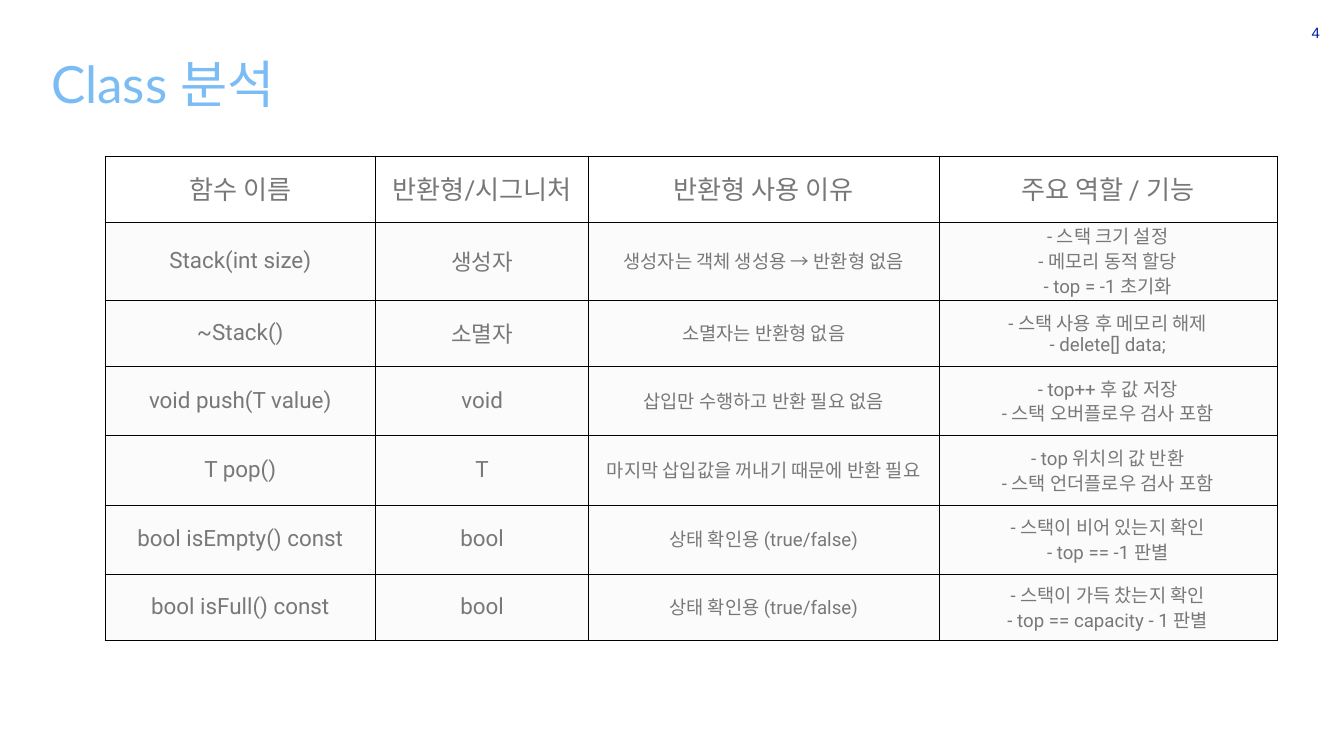
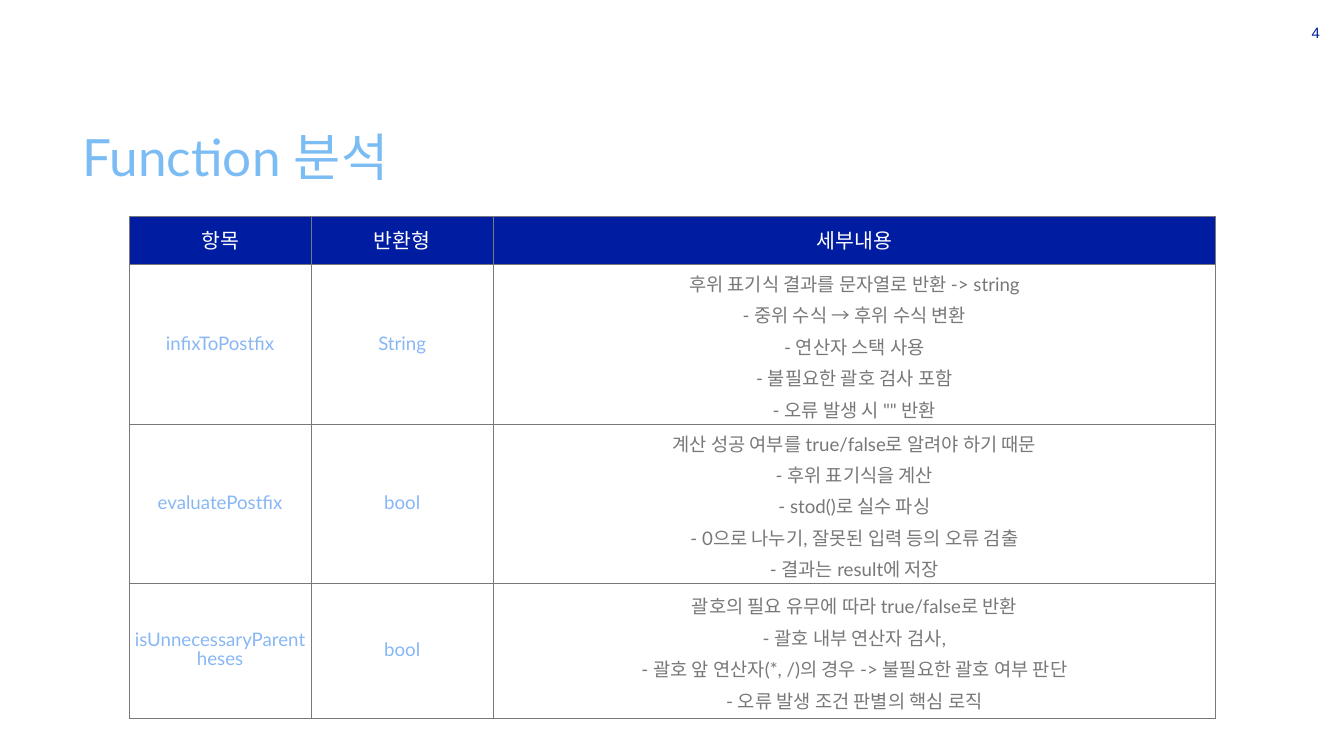
from itertools import groupby

from lxml import etree
from pptx import Presentation
from pptx.dml.color import RGBColor
from pptx.enum.text import MSO_ANCHOR, MSO_AUTO_SIZE, PP_ALIGN
from pptx.oxml.ns import qn
from pptx.util import Inches, Pt

LEFT, CENTER, RIGHT = PP_ALIGN.LEFT, PP_ALIGN.CENTER, PP_ALIGN.RIGHT
MIDDLE = MSO_ANCHOR.MIDDLE
NO_FIT = MSO_AUTO_SIZE.NONE
TITLE_ONLY = 5

WIDTH, HEIGHT = 20, 11.25
WHITE, PALE, GREY, BLACK = "FFFFFF", "FBFBFB", "787878", "000000"
NAVY, SKY, LIGHT_BLUE = "001CA0", "7CBCF5", "88B7F6"
KOREAN_FONT = "Calibri"
TITLE_SIZE = (6.31, 1.07)
TITLE_STYLE = {"size": 55, "color": SKY, "font": "Lato", "align": LEFT, "spacing": 1.16}
NUMBER_BOX = (19.42, 0.33, 0.22, 0.32)
NUMBER_STYLE = {"size": 16, "color": NAVY, "font": "Arial", "align": RIGHT, "spacing": 0.95}
CELL_INSET = 0.02
BORDER_POINTS = 0.5

CLASS_NAME = {"size": 24, "color": GREY, "font": "Roboto", "align": CENTER, "spacing": 0.92}
CLASS_NOTE = {**CLASS_NAME, "size": 20}
FUNCTION_NAME = {"size": 20, "color": LIGHT_BLUE, "font": "Lato", "align": CENTER, "spacing": 0.92}
FUNCTION_NOTE = {**FUNCTION_NAME, "color": GREY, "spacing": 1.16}

SLIDES = [
    {
        "title": "Class 분석",
        "title_at": (0.76, 0.62),
        "title_indent": 0,
        "table_at": (1.56, 2.32),
        "columns": [4.03, 3.17, 5.21, 5.03],
        "row_heights": [0.99, 1.04, 0.99, 1.03, 1.03, 1.03, 0.99],
        "border": BLACK,
        "fills": (WHITE, PALE),
        "header_style": {**CLASS_NAME, "size": 28},
        "column_styles": [CLASS_NAME, CLASS_NAME, CLASS_NOTE, CLASS_NOTE],
        "last_name_spacing": 0.92,
        "rows": [
            ("함수 이름", "반환형/시그니처", "반환형 사용 이유", "주요 역할 / 기능"),
            ("Stack(int size)", "생성자", "생성자는 객체 생성용 → 반환형 없음",
             "- 스택 크기 설정\n- 메모리 동적 할당\n- top = -1 초기화"),
            ("~Stack()", "소멸자", "소멸자는 반환형 없음",
             "- 스택 사용 후 메모리 해제\n- delete[] data;"),
            ("void push(T value)", "void", "삽입만 수행하고 반환 필요 없음",
             "- top++ 후 값 저장\n- 스택 오버플로우 검사 포함"),
            ("T pop()", "T", "마지막 삽입값을 꺼내기 때문에 반환 필요",
             "- top 위치의 값 반환\n- 스택 언더플로우 검사 포함"),
            ("bool isEmpty() const", "bool", "상태 확인용 (true/false)",
             "- 스택이 비어 있는지 확인\n- top == -1 판별"),
            ("bool isFull() const", "bool", "상태 확인용 (true/false)",
             "- 스택이 가득 찼는지 확인\n- top == capacity - 1 판별"),
        ],
    },
    {
        "title": "Function 분석",
        "title_at": (1.08, 1.71),
        "title_indent": 0.15,
        "table_at": (1.92, 3.22),
        "columns": [2.71, 2.71, 10.75],
        "row_heights": [0.71, 2, 2, 2],
        "border": GREY,
        "fills": (NAVY, WHITE),
        "header_style": {**FUNCTION_NAME, "size": 22, "color": WHITE},
        "column_styles": [FUNCTION_NAME, FUNCTION_NAME, FUNCTION_NOTE],
        "last_name_spacing": 0.83,
        "rows": [
            ("항목", "반환형", "세부내용"),
            ("infixToPostfix", "String",
             "후위 표기식 결과를 문자열로 반환 -> string\n- 중위 수식 → 후위 수식 변환\n"
             "- 연산자 스택 사용\n- 불필요한 괄호 검사 포함\n- 오류 발생 시 \"\" 반환"),
            ("evaluatePostfix", "bool",
             "계산 성공 여부를 true/false로 알려야 하기 때문\n- 후위 표기식을 계산\n"
             "- stod()로 실수 파싱\n- 0으로 나누기, 잘못된 입력 등의 오류 검출\n"
             "- 결과는 result에 저장"),
            ("isUnnecessaryParentheses", "bool",
             "괄호의 필요 유무에 따라 true/false로 반환\n- 괄호 내부 연산자 검사,\n"
             "- 괄호 앞 연산자(*, /)의 경우 -> 불필요한 괄호 여부 판단\n"
             "- 오류 발생 조건 판별의 핵심 로직"),
        ],
    },
]


def rgb(value):
    return RGBColor.from_string(value)


def is_hangul(letter):
    return "가" <= letter <= "힣"


def split_scripts(line):
    def korean_at(i):
        if line[i] == " " and 0 < i < len(line) - 1:
            return is_hangul(line[i - 1]) and is_hangul(line[i + 1])
        return is_hangul(line[i])

    for korean, places in groupby(range(len(line)), korean_at):
        yield korean, "".join(line[i] for i in places)


def write(frame, text, style):
    for index, line in enumerate(text.split("\n")):
        paragraph = frame.add_paragraph() if index else frame.paragraphs[0]
        paragraph.alignment = style["align"]
        paragraph.line_spacing = style["spacing"]
        for korean, words in split_scripts(line):
            run = paragraph.add_run()
            run.text = words
            run.font.color.rgb = rgb(style["color"])
            looks = {"name": KOREAN_FONT if korean else style["font"],
                     "size": Pt(style["size"]), "bold": False}
            for key, value in looks.items():
                setattr(run.font, key, value)


def set_frame(frame, indent=0):
    looks = {"margin_left": Inches(indent), "margin_right": 0, "margin_top": 0,
             "margin_bottom": 0, "vertical_anchor": MIDDLE, "word_wrap": True,
             "auto_size": NO_FIT}
    for key, value in looks.items():
        setattr(frame, key, value)


def add_title(slide, content):
    title = slide.shapes.title
    box = content["title_at"] + TITLE_SIZE
    for key, value in zip(("left", "top", "width", "height"), box):
        setattr(title, key, Inches(value))
    set_frame(title.text_frame, content["title_indent"])
    write(title.text_frame, content["title"], TITLE_STYLE)


def add_number(slide, number):
    frame = slide.shapes.add_textbox(*map(Inches, NUMBER_BOX)).text_frame
    set_frame(frame)
    write(frame, number, NUMBER_STYLE)


def set_borders(cell, color):
    properties = cell._tc.get_or_add_tcPr()
    for index, side in enumerate(("lnL", "lnR", "lnT", "lnB")):
        line = etree.Element(qn(f"a:{side}"), w=str(Pt(BORDER_POINTS)))
        fill = etree.SubElement(line, qn("a:solidFill"))
        etree.SubElement(fill, qn("a:srgbClr"), val=color)
        properties.insert(index, line)


def cell_style(content, row, column):
    if row == 0:
        return content["header_style"]
    style = content["column_styles"][column]
    if row == len(content["rows"]) - 1 and column < 2:
        return {**style, "spacing": content["last_name_spacing"]}
    return style


def add_grid(slide, content):
    rows, columns, heights = content["rows"], content["columns"], content["row_heights"]
    box = content["table_at"] + (sum(columns), sum(heights))
    table = slide.shapes.add_table(len(rows), len(columns), *map(Inches, box)).table
    table.first_row = table.horz_banding = False
    for column, width in zip(table.columns, columns):
        column.width = Inches(width)
    for row, height in zip(table.rows, heights):
        row.height = Inches(height)
    for r, row in enumerate(rows):
        for c, text in enumerate(row):
            cell = table.cell(r, c)
            for side in ("left", "right", "top", "bottom"):
                setattr(cell, f"margin_{side}", Inches(CELL_INSET))
            cell.vertical_anchor = MIDDLE
            cell.fill.solid()
            cell.fill.fore_color.rgb = rgb(content["fills"][min(r, 1)])
            set_borders(cell, content["border"])
            write(cell.text_frame, text, cell_style(content, r, c))


def main():
    deck = Presentation()
    deck.slide_width, deck.slide_height = Inches(WIDTH), Inches(HEIGHT)
    for content in SLIDES:
        slide = deck.slides.add_slide(deck.slide_layouts[TITLE_ONLY])
        add_title(slide, content)
        add_grid(slide, content)
        add_number(slide, "4")
    deck.save("out.pptx")


if __name__ == "__main__":
    main()
